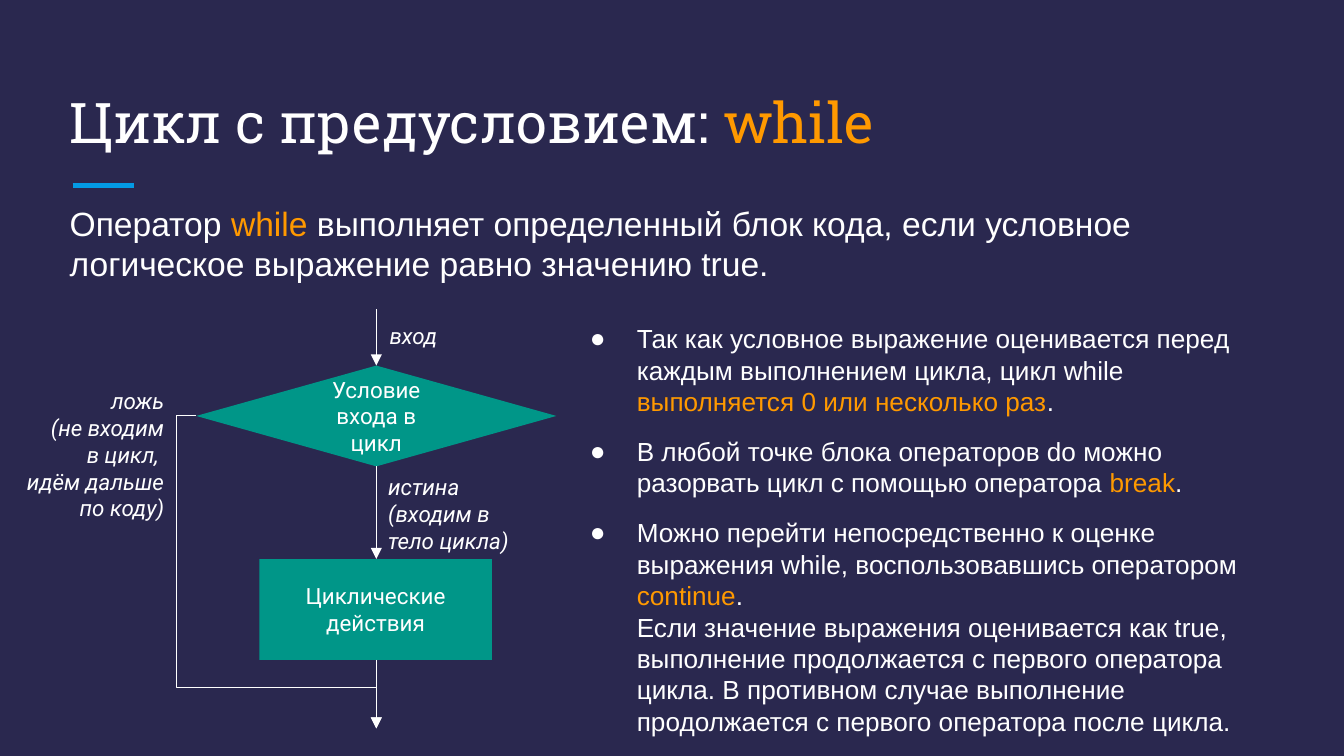
import copy
import pptx
import pptx.util
import pptx.dml.color
import pptx.enum.shapes
import pptx.enum.text
import pptx.oxml.ns

Inches = pptx.util.Inches
Pt = pptx.util.Pt
RGBColor = pptx.dml.color.RGBColor
Align = pptx.enum.text.PP_ALIGN
Anchor = pptx.enum.text.MSO_ANCHOR
Shape = pptx.enum.shapes.MSO_SHAPE
Link = pptx.enum.shapes.MSO_CONNECTOR
qn = pptx.oxml.ns.qn

NAVY = RGBColor(0x2A, 0x28, 0x4F)
WHITE = RGBColor(0xFF, 0xFF, 0xFF)
AMBER = RGBColor(0xFF, 0x99, 0x00)
TEAL = RGBColor(0x00, 0x96, 0x88)
BLUE = RGBColor(0x03, 0x9B, 0xE5)

AXIS = 2.8
POINTS = [
    [("Так как условное выражение оценивается перед каждым выполнением цикла, цикл while ", WHITE),
     ("выполняется 0 или несколько раз", AMBER), (".", WHITE)],
    [("В любой точке блока операторов do можно разорвать цикл с помощью оператора ", WHITE),
     ("break", AMBER), (".", WHITE)],
    [("Можно перейти непосредственно к оценке выражения while, воспользовавшись оператором ", WHITE),
     ("continue", AMBER),
     (".\nЕсли значение выражения оценивается как true, выполнение продолжается с первого "
      "оператора цикла. В противном случае выполнение продолжается с первого оператора "
      "после цикла.", WHITE)],
]


def add_node(parent, tag, **values):
    child = parent.makeelement(qn(tag), values)
    parent.append(child)
    return child


def fill_line(para, parts, size, font, italic=False):
    for text, color in parts:
        for index, piece in enumerate(text.split("\n")):
            if index:
                para.add_line_break()
            run = para.add_run()
            run.text = piece
            run.font.size = Pt(size)
            run.font.name = font
            run.font.italic = italic
            run.font.color.rgb = color
    for gap in para._p.findall(qn("a:br")):
        gap.append(copy.deepcopy(para.runs[0]._r.rPr))


def set_frame(frame, anchor):
    frame.word_wrap = True
    frame.vertical_anchor = anchor
    frame.margin_left = frame.margin_right = Inches(0.1)
    frame.margin_top = frame.margin_bottom = Inches(0.1)


def add_text(slide, box, parts, size, font, italic=False, align=Align.LEFT, anchor=Anchor.TOP):
    frame = slide.shapes.add_textbox(*map(Inches, box)).text_frame
    set_frame(frame, anchor)
    para = frame.paragraphs[0]
    para.alignment = align
    fill_line(para, parts, size, font, italic)


def add_label(slide, box, text, align=Align.LEFT):
    add_text(slide, box, [(text, WHITE)], 12, "Roboto", True, align)


def add_block(slide, kind, box, text):
    block = slide.shapes.add_shape(kind, *map(Inches, box))
    block.shadow.inherit = False
    block.fill.solid()
    block.fill.fore_color.rgb = TEAL
    block.line.fill.background()
    set_frame(block.text_frame, Anchor.MIDDLE)
    para = block.text_frame.paragraphs[0]
    para.alignment = Align.CENTER
    fill_line(para, [(text, WHITE)], 12, "Roboto")


def add_line(slide, start, end, color=WHITE, width=0.75, kind=Link.STRAIGHT, arrow=True):
    line = slide.shapes.add_connector(kind, *map(Inches, start + end))
    line.line.color.rgb = color
    line.line.width = Pt(width)
    if arrow:
        add_node(line.line._get_or_add_ln(), "a:tailEnd", type="triangle")
    add_node(line._element.spPr, "a:effectLst")
    return line


def add_bend(slide, start, end, first, second):
    line = add_line(slide, start, end, kind=Link.ELBOW)
    shape = line._element.spPr.find(qn("a:prstGeom"))
    shape.set("prst", "bentConnector4")
    guides = shape.find(qn("a:avLst"))
    for name, value in (("adj1", first), ("adj2", second)):
        add_node(guides, "a:gd", name=name, fmla=f"val {round(value * 100000)}")


def add_list(slide, box, points):
    frame = slide.shapes.add_textbox(*map(Inches, box)).text_frame
    set_frame(frame, Anchor.TOP)
    for index, parts in enumerate(points):
        para = frame.add_paragraph() if index else frame.paragraphs[0]
        para.space_before = Pt(10 if index else 0)
        props = para._p.get_or_add_pPr()
        props.set("marL", str(Inches(0.5)))
        props.set("indent", str(Inches(-0.35)))
        add_node(add_node(props, "a:buClr"), "a:srgbClr", val=str(WHITE))
        add_node(props, "a:buFont", typeface="Arial")
        add_node(props, "a:buChar", char="●")
        fill_line(para, parts, 14, "Arial")


def add_flow(slide):
    add_block(slide, Shape.DIAMOND, (1.46, 2.72, 2.68, 0.75), "Условие\nвхода в\nцикл")
    add_block(slide, Shape.RECTANGLE, (1.93, 4.16, 1.73, 0.75), "Циклические действия")
    for top, bottom in ((2.3, 2.72), (3.47, 4.16), (4.91, 5.42)):
        add_line(slide, (AXIS, top), (AXIS, bottom))
    add_bend(slide, (1.46, 3.09), (AXIS, 5.42), -0.11, 0.87)
    add_label(slide, (AXIS, 2.3, 0.79, 0.42), "вход")
    add_label(slide, (0.02, 2.78, 1.3, 1.13),
              "ложь\n(не входим\nв цикл, \nидём дальше\nпо коду)", Align.RIGHT)
    add_label(slide, (2.79, 3.42, 1.3, 0.75), "истина (входим в тело цикла)")


def main():
    deck = pptx.Presentation()
    deck.slide_width = Inches(10)
    deck.slide_height = deck.slide_width * 9 // 16
    slide = deck.slides.add_slide(deck.slide_layouts[6])
    slide.background.fill.solid()
    slide.background.fill.fore_color.rgb = NAVY
    add_line(slide, (0.54, 1.38), (1, 1.38), BLUE, 3, arrow=False)
    add_text(slide, (0.42, 0.5, 9.15, 0.75),
             [("Цикл с предусловием: ", WHITE), ("while", AMBER)],
             30, "Roboto Slab", anchor=Anchor.BOTTOM)
    add_text(slide, (0.42, 1.41, 9.15, 0.75),
             [("Оператор ", WHITE), ("while ", AMBER),
              ("выполняет определенный блок кода, если условное логическое выражение "
               "равно значению true.", WHITE)], 18, "Arial")
    add_flow(slide)
    add_list(slide, (4.14, 2.3, 5.44, 3.33), POINTS)
    deck.save("out.pptx")


if __name__ == "__main__":
    main()
